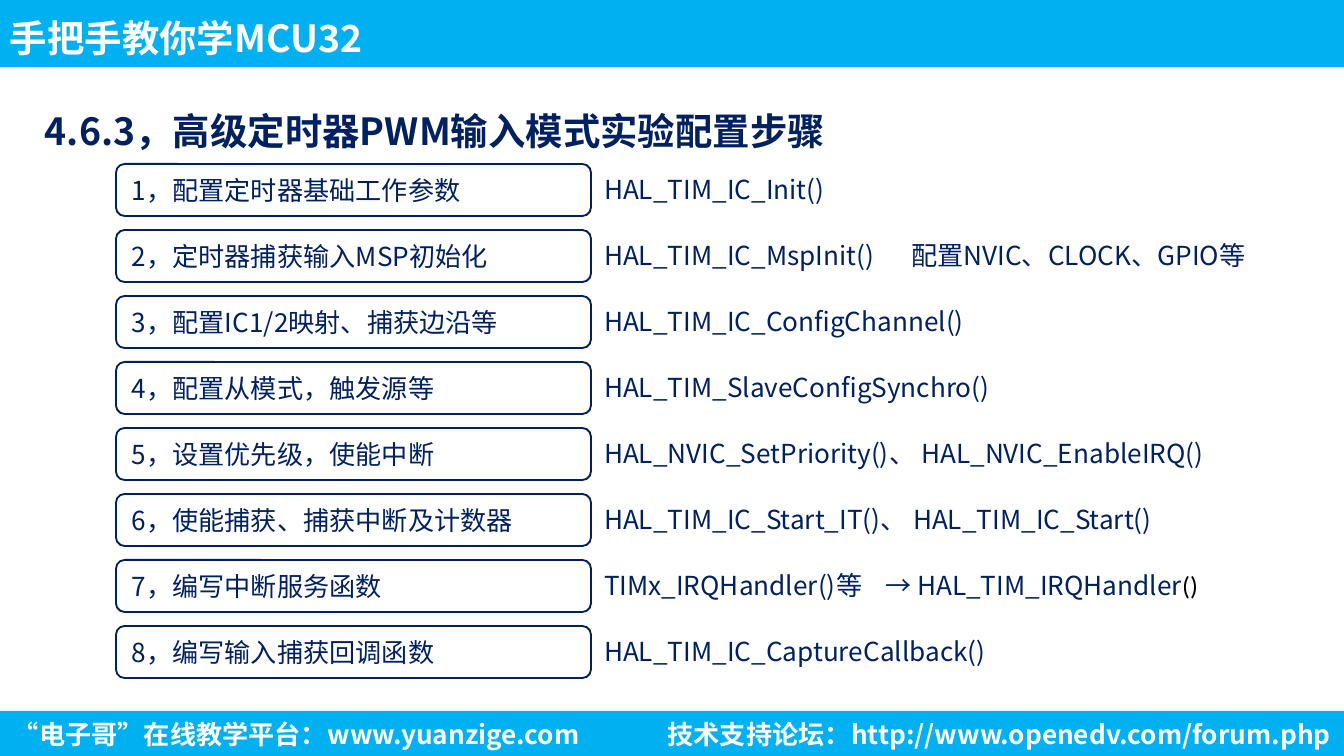
import pptx
import pptx.dml.color
import pptx.enum.shapes
import pptx.enum.text
import pptx.oxml.ns
import pptx.util
from lxml import etree

PX = 914400 / 134.4
SKY = pptx.dml.color.RGBColor(0x00, 0xB0, 0xF0)
NAVY = pptx.dml.color.RGBColor(0x00, 0x20, 0x60)
WHITE = pptx.dml.color.RGBColor(0xFF, 0xFF, 0xFF)
BLACK = pptx.dml.color.RGBColor(0x00, 0x00, 0x00)
FONT = "Noto Sans CJK SC"
LEFT = pptx.enum.text.PP_ALIGN.LEFT
RIGHT = pptx.enum.text.PP_ALIGN.RIGHT
MIDDLE = pptx.enum.text.MSO_ANCHOR.MIDDLE

FIRST_STEP_TOP = 164
STEP_PITCH = 66
STEPS = [
    ("1，配置定时器基础工作参数", "HAL_TIM_IC_Init()", None),
    ("2，定时器捕获输入MSP初始化", "HAL_TIM_IC_MspInit()\t配置NVIC、CLOCK、GPIO等", 307),
    ("3，配置IC1/2映射、捕获边沿等", "HAL_TIM_IC_ConfigChannel()", None),
    ("4，配置从模式，触发源等", "HAL_TIM_SlaveConfigSynchro()", None),
    ("5，设置优先级，使能中断", "HAL_NVIC_SetPriority()、 HAL_NVIC_EnableIRQ()", None),
    ("6，使能捕获、捕获中断及计数器", "HAL_TIM_IC_Start_IT()、 HAL_TIM_IC_Start()", None),
    ("7，编写中断服务函数", "TIMx_IRQHandler()等\t→ HAL_TIM_IRQHandler", 281),
    ("8，编写输入捕获回调函数", "HAL_TIM_IC_CaptureCallback()", None),
]


def px(length):
    return pptx.util.Emu(round(length * PX))


def style_run(run, size, color, bold=False, name=FONT):
    run.font.size = pptx.util.Pt(size)
    run.font.bold = bold
    run.font.color.rgb = color
    run.font.name = name
    east_asian = etree.SubElement(run.font._element, pptx.oxml.ns.qn("a:ea"))
    east_asian.set("typeface", name)


def write(frame, text, size, color, bold=False, align=LEFT, spacing=None, tab=None):
    frame.word_wrap = True
    paragraph = frame.paragraphs[0]
    paragraph.text = text
    paragraph.alignment = align
    if spacing:
        paragraph.line_spacing = spacing
    if tab:
        properties = paragraph._p.get_or_add_pPr()
        stops = etree.SubElement(properties, pptx.oxml.ns.qn("a:tabLst"))
        stop = etree.SubElement(stops, pptx.oxml.ns.qn("a:tab"))
        stop.set("pos", str(px(tab)))
        stop.set("algn", "l")
    for run in paragraph.runs:
        style_run(run, size, color, bold)
    return paragraph


def add_label(slide, left, top, width, height, text, size, color, insets=(13, 7), **style):
    frame = slide.shapes.add_textbox(px(left), px(top), px(width), px(height)).text_frame
    frame.margin_left = frame.margin_right = px(insets[0])
    frame.margin_top = frame.margin_bottom = px(insets[1])
    return frame, write(frame, text, size, color, **style)


def add_band(slide, top, height):
    band = slide.shapes.add_shape(
        pptx.enum.shapes.MSO_SHAPE.RECTANGLE, 0, px(top), px(1344), px(height))
    band.shadow.inherit = False
    band.fill.solid()
    band.fill.fore_color.rgb = SKY
    band.line.fill.background()


def add_step(slide, top, text):
    step = slide.shapes.add_shape(
        pptx.enum.shapes.MSO_SHAPE.ROUNDED_RECTANGLE, px(116), px(top), px(475), px(52))
    step.shadow.inherit = False
    step.fill.solid()
    step.fill.fore_color.rgb = WHITE
    step.line.color.rgb = NAVY
    step.line.width = pptx.util.Pt(1)
    step.text_frame.vertical_anchor = MIDDLE
    write(step.text_frame, text, 14, NAVY)


def main():
    deck = pptx.Presentation()
    deck.slide_width, deck.slide_height = px(1344), px(756)
    slide = deck.slides.add_slide(deck.slide_layouts[6])

    add_band(slide, 711, 45)
    add_band(slide, 0, 67)
    course, _ = add_label(slide, 0, 0, 867, 67, "手把手教你学MCU32", 20, WHITE,
                          insets=(10, 5), bold=True, spacing=1.2)
    course.vertical_anchor = MIDDLE
    add_label(slide, 0, 711, 790, 45, "“电子哥”在线教学平台：www.yuanzige.com",
              14, WHITE, bold=True)
    add_label(slide, 488, 711, 856, 45, "技术支持论坛：http://www.openedv.com/forum.php",
              14, WHITE, bold=True, align=RIGHT)
    add_label(slide, 38, 83, 957, 67, "4.6.3，高级定时器PWM输入模式实验配置步骤",
              20, NAVY, insets=(7, 3), bold=True, spacing=1.5)

    for index, (task, functions, tab) in enumerate(STEPS):
        top = FIRST_STEP_TOP + index * STEP_PITCH
        add_step(slide, top, task)
        _, call = add_label(slide, 591, top + 2, 706, 46, functions, 14, NAVY, tab=tab)
        if functions.endswith("IRQHandler"):
            parentheses = call.add_run()
            parentheses.text = "()"
            style_run(parentheses, 14, BLACK, name="Calibri")

    deck.save("out.pptx")


if __name__ == "__main__":
    main()
